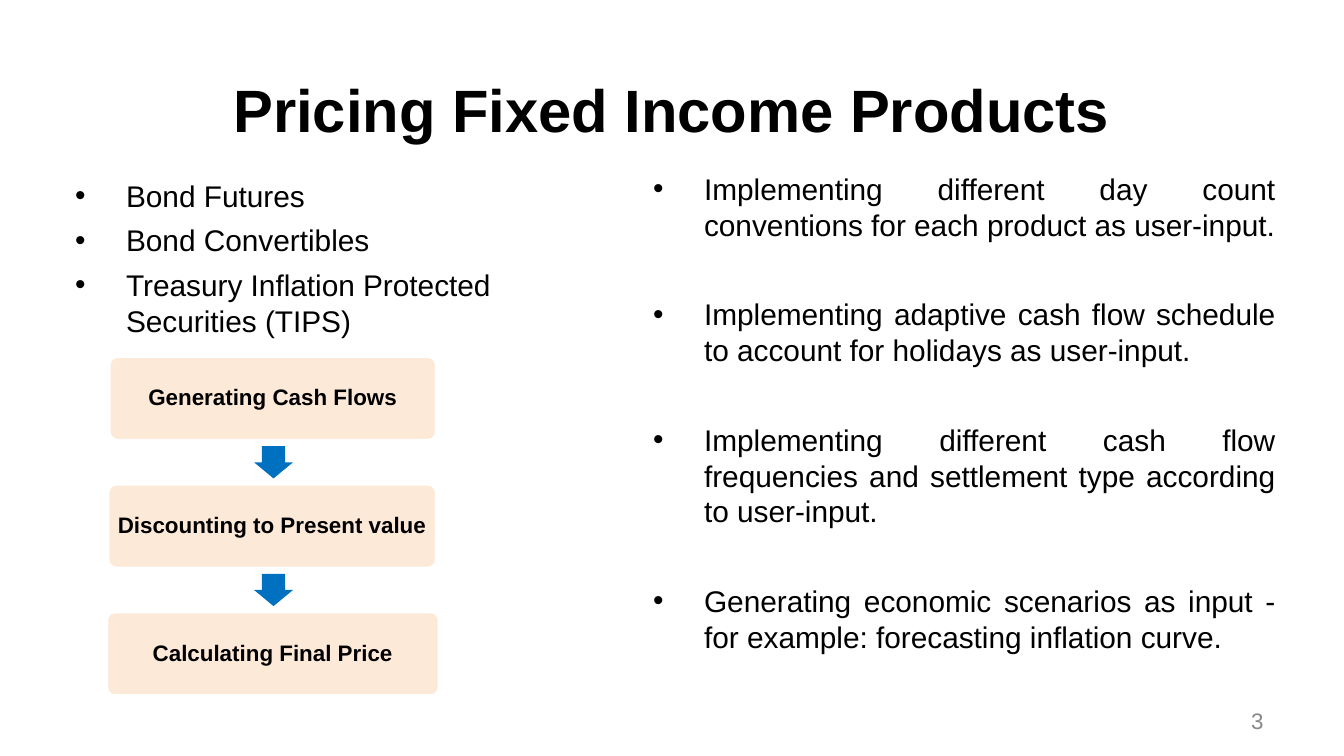
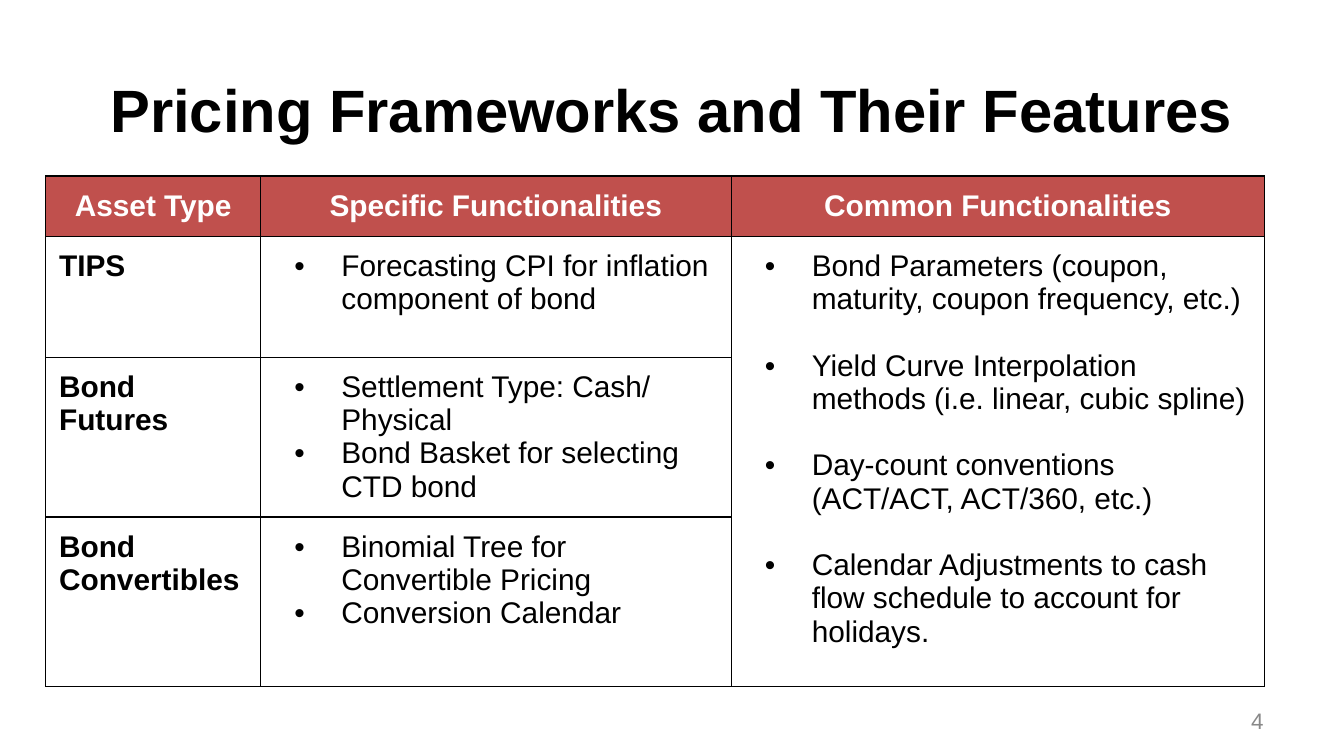
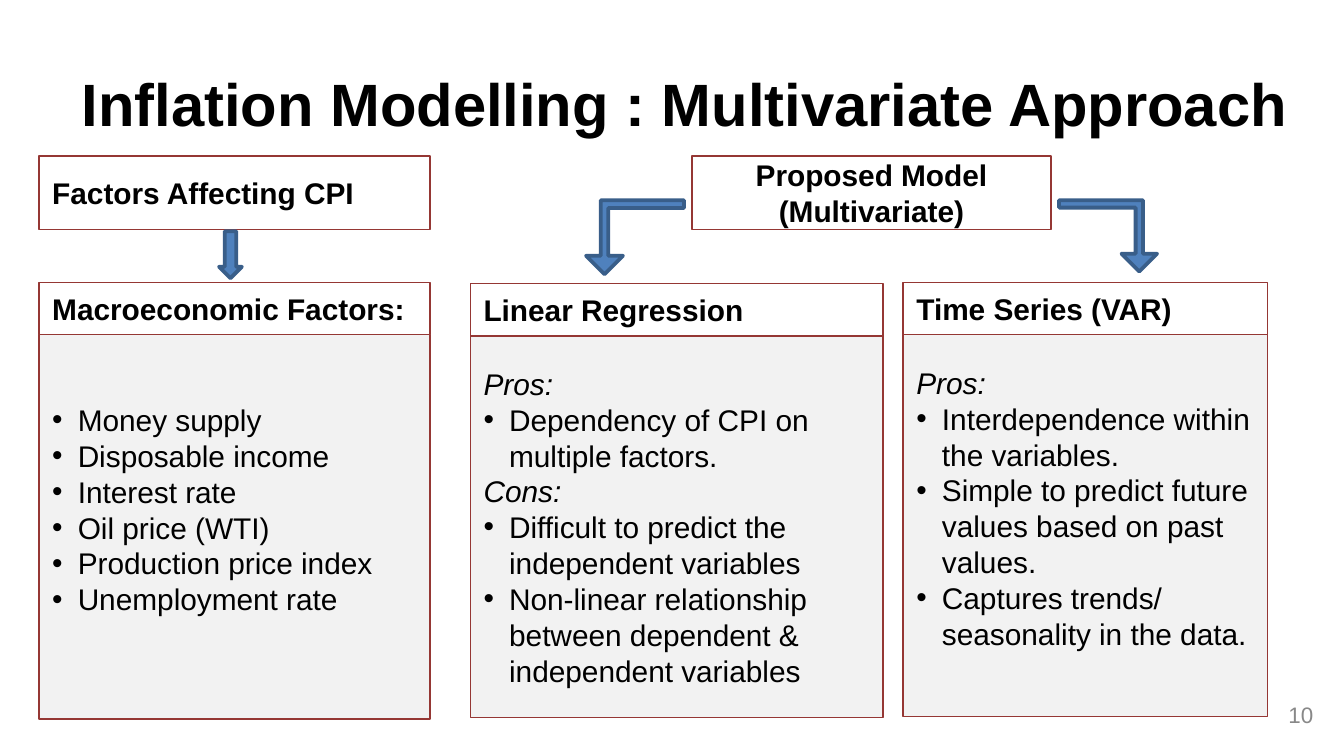
from lxml.etree import SubElement
from pptx import Presentation
from pptx.dml.color import RGBColor
from pptx.enum.shapes import MSO_SHAPE
from pptx.enum.text import MSO_ANCHOR, PP_ALIGN
from pptx.oxml.ns import qn
from pptx.util import Emu, Pt

FONT = "Arial"
BLACK, WHITE, GREY = "000000", "FFFFFF", "888888"
PEACH, BLUE, RED = "FDE9D8", "0070C0", "C0504D"
PALE, MAROON, STEEL, NAVY = "F2F2F2", "953734", "4F81BD", "395E89"
LABELS = ("Pros:", "Cons:")
PITCH = Pt(17.8)


def px(count):
    """Turn px, 100 to the inch, into EMU."""
    return Emu(count * 9144)


def paint(color):
    return RGBColor.from_string(color)


def bullet(para, left, hang):
    props = para._p.get_or_add_pPr()
    props.set("marL", str(px(left)))
    props.set("indent", str(-px(hang)))
    tint = SubElement(props, qn("a:buClr"))
    SubElement(tint, qn("a:srgbClr")).set("val", BLACK)
    SubElement(props, qn("a:buFont")).set("typeface", FONT)
    SubElement(props, qn("a:buChar")).set("char", "•")


def write(frame, lines, size=16, color=BLACK, bold=False, align=PP_ALIGN.LEFT,
          hang=None, first=0, gap=0, spread=None):
    """Fill a frame; hang is (left, hang) for bullets, gap the space before."""
    frame.word_wrap = True
    frame.text = "\n".join(lines)
    for spot, para in enumerate(frame.paragraphs):
        label = para.text in LABELS
        para.alignment = align
        para.space_before = Pt(gap if spot else first)
        if spread:
            para.line_spacing = spread
        if hang and not label:
            bullet(para, *hang)
        for run in para.runs:
            font = run.font
            font.name, font.size = FONT, Pt(size)
            font.bold, font.italic = bold, label
            font.color.rgb = paint(color)


def inset(frame, side, top, base=None):
    frame.margin_left = frame.margin_right = px(side)
    frame.margin_top = px(top)
    frame.margin_bottom = px(top if base is None else base)


def text(slide, box, lines, anchor=MSO_ANCHOR.TOP, top=5, **style):
    frame = slide.shapes.add_textbox(*map(px, box)).text_frame
    inset(frame, 10, top)
    frame.vertical_anchor = anchor
    write(frame, lines, **style)


def shape(slide, kind, box, fill, line=None, width=0.75, adjust=()):
    item = slide.shapes.add_shape(kind, *map(px, box))
    item.shadow.inherit = False
    item.fill.solid()
    item.fill.fore_color.rgb = paint(fill)
    if line:
        item.line.color.rgb = paint(line)
        item.line.width = Pt(width)
    else:
        item.line.fill.background()
    for spot, value in enumerate(adjust):
        item.adjustments[spot] = value
    return item


def panel(slide, box, lines, fill=WHITE, base=5, **style):
    item = shape(slide, MSO_SHAPE.RECTANGLE, box, fill, MAROON)
    inset(item.text_frame, 10, 5, base)
    item.text_frame.vertical_anchor = MSO_ANCHOR.MIDDLE
    write(item.text_frame, lines, **style)


def start(deck, title, number, box=(34, 49, 932, 63), corner=(717, 521, 233, 30)):
    """Add a slide with its title and its number."""
    slide = deck.slides.add_slide(deck.slide_layouts[6])
    text(slide, box, [title], MSO_ANCHOR.MIDDLE, size=32, bold=True,
         align=PP_ALIGN.CENTER)
    text(slide, corner, [number], MSO_ANCHOR.MIDDLE, size=12, color=GREY,
         align=PP_ALIGN.RIGHT)
    return slide


def flow(slide, box, steps):
    """Stack steps in the box with an arrow in each gap."""
    left, top, width, height = box
    tall, gap = 63, 32
    for spot, (step, wide) in enumerate(steps):
        y = top + spot * (tall + gap)
        item = shape(slide, MSO_SHAPE.ROUNDED_RECTANGLE,
                     (left + (width - wide) // 2, y, wide, tall),
                     PEACH, WHITE, 2, (0.1,))
        inset(item.text_frame, 2, 5)
        item.text_frame.vertical_anchor = MSO_ANCHOR.MIDDLE
        write(item.text_frame, [step], size=12, bold=True,
              align=PP_ALIGN.CENTER, spread=0.9)
        if y + tall < top + height:
            shape(slide, MSO_SHAPE.DOWN_ARROW,
                  (left + width // 2 - 14, y + tall + 4, 29, 24),
                  BLUE, adjust=(0.6, 0.5))


def products(deck):
    slide = start(deck, "Pricing Fixed Income Products", "3")
    text(slide, (34, 127, 437, 399),
         ["Bond Futures", "Bond Convertibles",
          "Treasury Inflation Protected Securities (TIPS)"],
         hang=(50, 38), first=4.8, gap=4.8)
    text(slide, (464, 117, 495, 419),
         ["Implementing different day count conventions for each product as user-input.",
          "Implementing adaptive cash flow schedule to account for holidays as user-input.",
          "Implementing different cash flow frequencies and settlement type"
          " according to user-input.",
          "Generating economic scenarios as input - for example: forecasting inflation curve."],
         top=10, align=PP_ALIGN.JUSTIFY, hang=(50, 38), first=4.8, gap=28.8)
    flow(slide, (79, 265, 248, 253),
         [("Generating Cash Flows", 244), ("Discounting to Present value", 245),
          ("Calculating Final Price", 248)])


def border(cell):
    props = cell._tc.get_or_add_tcPr()
    for spot, side in enumerate(("lnL", "lnR", "lnT", "lnB")):
        line = props.makeelement(qn("a:" + side), {"w": str(Pt(0.75))})
        fill = SubElement(line, qn("a:solidFill"))
        SubElement(fill, qn("a:srgbClr")).set("val", BLACK)
        props.insert(spot, line)


def grid(slide, place, cols, rows, heads, kinds, common):
    """Draw the features table; the last column is one merged cell."""
    table = slide.shapes.add_table(
        len(rows), len(cols), *map(px, (*place, sum(cols), sum(rows)))).table
    for col, wide in zip(table.columns, cols):
        col.width = px(wide)
    for row, tall in zip(table.rows, rows):
        row.height = px(tall)
    for cell in table.iter_cells():
        inset(cell, 10, 10)
        cell.fill.background()
        border(cell)
    last = len(cols) - 1
    table.cell(1, last).merge(table.cell(len(rows) - 1, last))
    for col, head in enumerate(heads):
        cell = table.cell(0, col)
        cell.fill.solid()
        cell.fill.fore_color.rgb = paint(RED)
        write(cell.text_frame, [head], color=WHITE, bold=True,
              align=PP_ALIGN.CENTER, spread=PITCH)
    for row, (kind, traits) in enumerate(kinds, 1):
        write(table.cell(row, 0).text_frame, [kind], bold=True, spread=PITCH)
        write(table.cell(row, 1).text_frame, traits, hang=(50, 35), spread=PITCH)
    write(table.cell(1, last).text_frame, common, hang=(50, 35), gap=17.8,
          spread=PITCH)


def features(deck):
    slide = start(deck, "Pricing Frameworks and Their Features", "4")
    grid(slide, (34, 131), (160, 350, 397), (42, 90, 90, 126),
         ("Asset Type", "Specific Functionalities", "Common Functionalities"),
         [("TIPS", ["Forecasting CPI for inflation component of bond"]),
          ("Bond Futures", ["Settlement Type: Cash/ Physical",
                            "Bond Basket for selecting CTD bond"]),
          ("Bond Convertibles", ["Binomial Tree for Convertible Pricing",
                                 "Conversion Calendar"])],
         ["Bond Parameters (coupon, maturity, coupon frequency, etc.)",
          "Yield Curve Interpolation methods (i.e. linear, cubic spline)",
          "Day-count conventions (ACT/ACT, ACT/360, etc.)",
          "Calendar Adjustments to cash flow schedule to account for holidays."])


def column(slide, box, head, lines, base=5):
    """Draw a headed list; base is the space kept under the list."""
    left, top, width, height = box
    bar = 39
    panel(slide, (left, top + bar, width, height - bar), lines, PALE, base,
          hang=(19, 19))
    panel(slide, (left, top, width, bar), [head], bold=True)


def bend(slide, box, flip=False):
    item = shape(slide, MSO_SHAPE.BENT_UP_ARROW, box, STEEL, NAVY, 2,
                 (0.103, 0.25, 0.25))
    item.rotation = 180
    if flip:
        item._element.spPr.find(qn("a:xfrm")).set("flipH", "1")


def models(deck):
    slide = start(deck, "Inflation Modelling : Multivariate Approach", "10",
                  (36, 48, 948, 57), (927, 510, 60, 43))
    column(slide, (29, 210, 291, 325), "Macroeconomic Factors:",
           ["Money supply", "Disposable income", "Interest rate",
            "Oil price (WTI)", "Production price index", "Unemployment rate"], 31)
    column(slide, (350, 211, 307, 323), "Linear Regression",
           ["Pros:", "Dependency of CPI on multiple factors.",
            "Cons:", "Difficult to predict the independent variables",
            "Non-linear relationship between dependent & independent variables"])
    column(slide, (672, 210, 271, 323), "Time Series (VAR)",
           ["Pros:", "Interdependence within the variables.",
            "Simple to predict future values based on past values.",
            "Captures trends/ seasonality in the data."], 31)
    panel(slide, (29, 116, 291, 55), ["Factors Affecting CPI"], bold=True)
    panel(slide, (515, 116, 267, 55), ["Proposed Model", "(Multivariate)"],
          bold=True, align=PP_ALIGN.CENTER)
    bend(slide, (436, 149, 73, 55))
    bend(slide, (788, 149, 73, 53), flip=True)
    shape(slide, MSO_SHAPE.DOWN_ARROW, (163, 172, 17, 35), STEEL, NAVY, 2, (0.5, 0.5))


def main():
    deck = Presentation()
    deck.slide_width = px(1000)
    deck.slide_height = Emu(deck.slide_width * 9 // 16)
    products(deck)
    features(deck)
    models(deck)
    deck.save("out.pptx")


if __name__ == "__main__":
    main()
